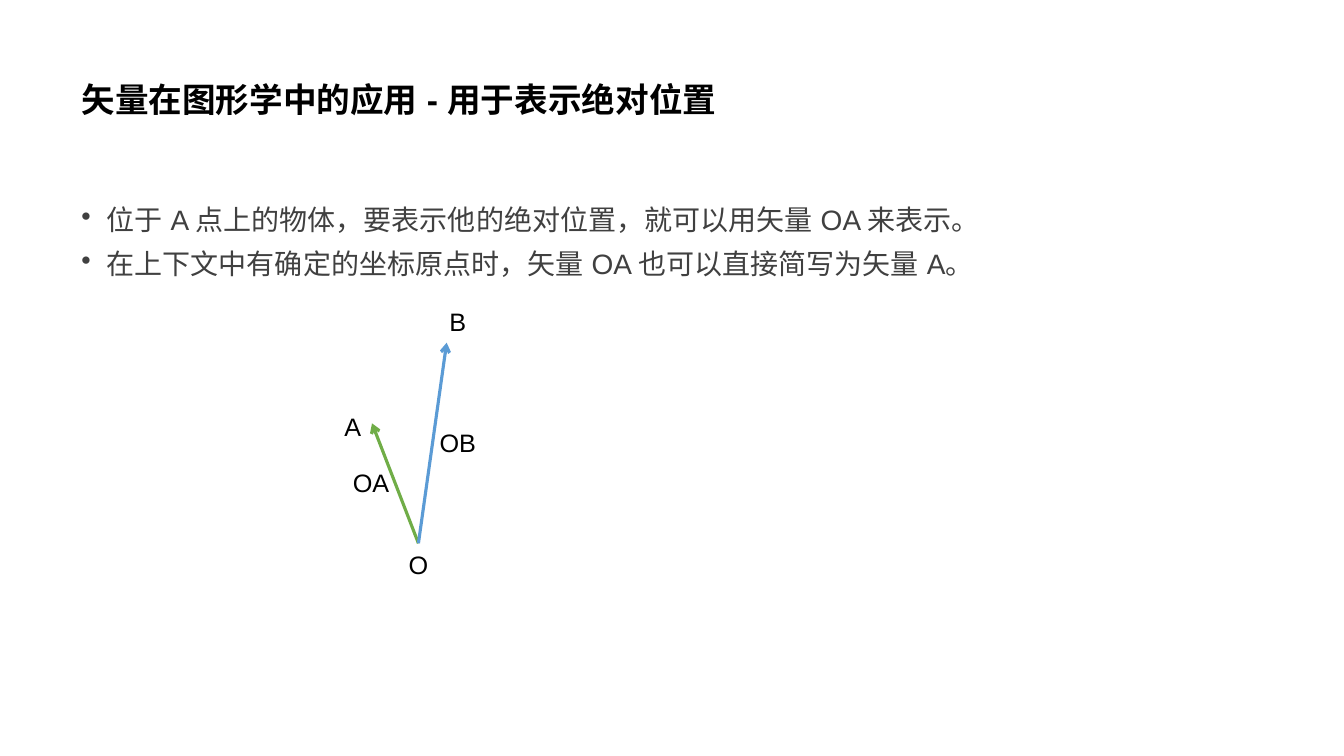
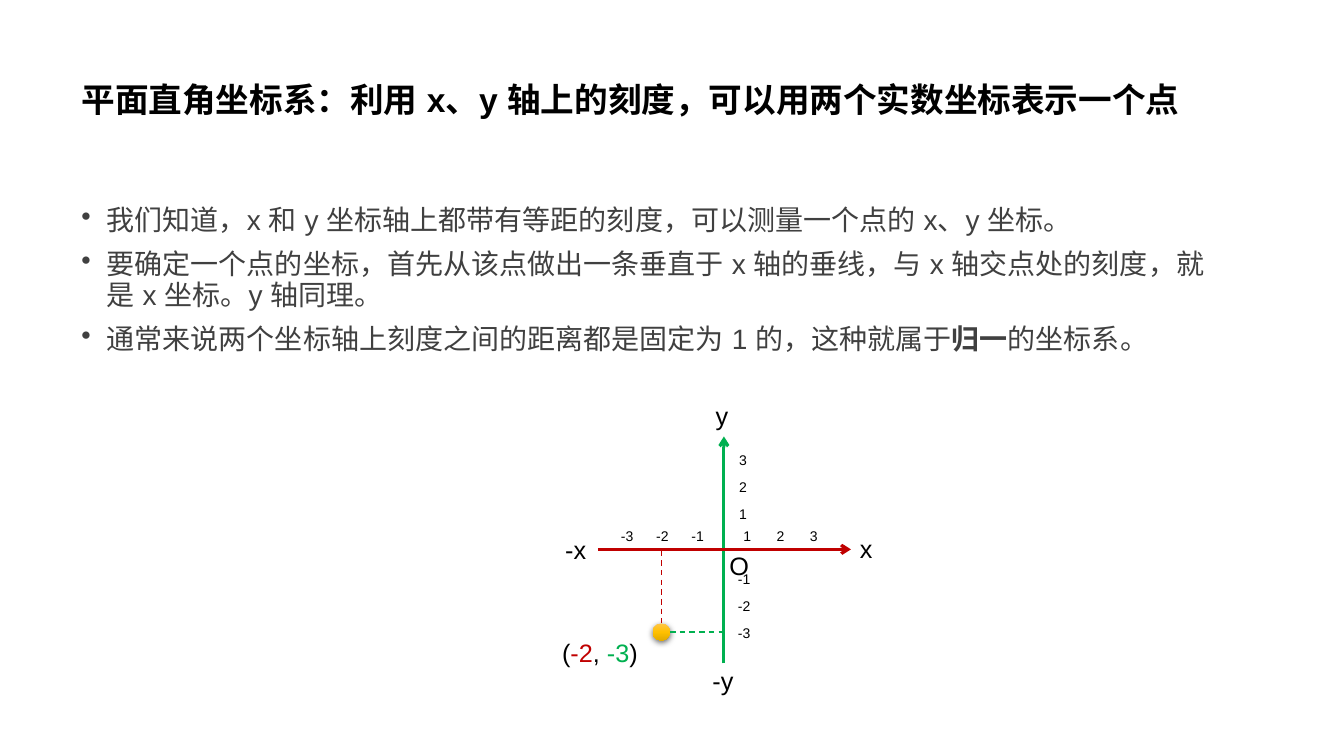
from copy import deepcopy

from lxml.etree import SubElement
from pptx import Presentation
from pptx.dml.color import RGBColor
from pptx.enum.dml import MSO_LINE_DASH_STYLE as Dash
from pptx.enum.lang import MSO_LANGUAGE_ID as Language
from pptx.enum.shapes import MSO_CONNECTOR_TYPE as Connector, MSO_SHAPE as Shape
from pptx.enum.text import MSO_ANCHOR as Anchor, PP_ALIGN as Align
from pptx.oxml.ns import qn
from pptx.util import Inches, Pt

FONT = "Arial"
BLACK, GRAY = "000000", "404040"
X_RED, Y_GREEN = "C00000", "00B050"
OA_GREEN, OB_BLUE = "70AD47", "5B9BD5"
MARGIN, CONTENT_WIDTH = 0.71, 11.5


def rgb(value):
    """Turn a hex string into a colour."""
    return RGBColor.from_string(value)


def add_bullet(paragraph):
    """Give a paragraph a round bullet with a hanging indent."""
    properties = paragraph._p.get_or_add_pPr()
    properties.set("marL", str(Inches(0.25)))
    properties.set("indent", str(Inches(-0.25)))
    SubElement(properties, qn("a:buChar"), char="•")


def add_text(slide, at, paragraphs, size=18, color=BLACK, bold=False, align=Align.LEFT,
             anchor=Anchor.TOP, wrap=True, bullets=False, line_spacing=None, gap=0):
    """Add a text box whose paragraphs are lists of (text, colour, bold) runs."""
    frame = slide.shapes.add_textbox(*map(Inches, at)).text_frame
    frame.word_wrap = wrap
    frame.vertical_anchor = anchor
    for index, runs in enumerate(paragraphs):
        paragraph = frame.add_paragraph() if index else frame.paragraphs[0]
        if bullets:
            add_bullet(paragraph)
        paragraph.alignment = align
        paragraph.line_spacing = line_spacing
        paragraph.space_before = Pt(gap if index else 0)
        for text, run_color, run_bold in runs:
            run = paragraph.add_run()
            run.text = text
            font = run.font
            font.size, font.name = Pt(size), FONT
            font.bold = bold or run_bold
            font.color.rgb = rgb(run_color or color)
            font.language_id = Language.SIMPLIFIED_CHINESE
            SubElement(run._r.rPr, qn("a:ea"), typeface=FONT)


def plain(text):
    """Make a paragraph of one run in the format of its box."""
    return [(text, None, False)]


def add_label(slide, runs, center, top, size=18):
    """Add a one-line label centred on a horizontal position."""
    width, height = (1.08, 0.4) if size == 18 else (0.34, 0.27)
    add_text(slide, (center - width / 2, top, width, height), [runs],
             size=size, align=Align.CENTER, wrap=False)


def add_labels(slide, labels):
    """Add several labels given as text, centre and top."""
    for text, center, top in labels:
        add_label(slide, plain(text), center, top)


def add_line(slide, start, end, color, width=2.25, arrow=False, dashed=False):
    """Draw a straight line, with an arrowhead or dashes on request."""
    line = slide.shapes.add_connector(Connector.STRAIGHT, *map(Inches, start + end))
    line.line.color.rgb = rgb(color)
    line.line.width = Pt(width)
    if dashed:
        line.line.dash_style = Dash.DASH
    properties = line._element.spPr
    if arrow:
        SubElement(line.line._get_or_add_ln(), qn("a:tailEnd"), type="arrow")
    SubElement(properties, qn("a:effectLst"))


def add_point(slide, center, diameter, colors):
    """Draw a round point with a vertical gradient and a soft shadow."""
    left, top = (value - diameter / 2 for value in center)
    point = slide.shapes.add_shape(Shape.OVAL, *map(Inches, (left, top, diameter, diameter)))
    point.line.fill.background()
    point.fill.gradient()
    point.fill.gradient_angle = 270
    properties = point._element.spPr
    stop_list = properties.find(".//" + qn("a:gsLst"))
    stop_list.insert(1, deepcopy(stop_list[0]))
    for stop, color, position in zip(point.fill.gradient_stops, colors, (0, 0.5, 1)):
        stop.color.rgb = rgb(color)
        stop.position = position
    point.shadow.inherit = False
    shadow = SubElement(properties.find(qn("a:effectLst")), qn("a:outerShdw"),
                        blurRad=str(Pt(4.5)), dist=str(Pt(1.5)), dir="5400000",
                        algn="ctr", rotWithShape="0")
    shadow_color = SubElement(shadow, qn("a:srgbClr"), val=BLACK)
    SubElement(shadow_color, qn("a:alpha"), val="63000")


def add_content_slide(deck, title, points):
    """Add a slide with the shared title and bullet list."""
    slide = deck.slides.add_slide(deck.slide_layouts[6])
    add_text(slide, (MARGIN, 0.28, CONTENT_WIDTH, 1.45), [plain(title)],
             size=24, bold=True, anchor=Anchor.MIDDLE, line_spacing=0.9)
    add_text(slide, (MARGIN, 2, CONTENT_WIDTH, 4.76), points,
             size=20, color=GRAY, bullets=True, line_spacing=0.9, gap=10)
    return slide


def draw_position_vectors(slide):
    """Draw the vectors OA and OB from their origin."""
    origin = (4.15, 5.39)
    add_line(slide, origin, (3.69, 4.2), OA_GREEN, arrow=True)
    add_line(slide, origin, (4.43, 3.4), OB_BLUE, arrow=True)
    add_labels(slide, [("A", 3.5, 4.03), ("B", 4.54, 2.99), ("O", 4.15, 5.4),
                       ("OA", 3.68, 4.59), ("OB", 4.54, 4.19)])


def draw_axes(slide):
    """Draw the two axes with their names and scale numbers."""
    add_line(slide, (7.18, 6.58), (7.18, 4.33), Y_GREEN, arrow=True)
    add_line(slide, (5.93, 5.45), (8.44, 5.45), X_RED, arrow=True)
    add_labels(slide, [("-x", 5.71, 5.25), ("x", 8.59, 5.24), ("y", 7.16, 3.92),
                       ("-y", 7.17, 6.55), ("O", 7.33, 5.41)])
    for tick in (1, 2, 3):
        for text, center, top in [(f"{tick}", 7.08 + 0.33 * tick, 5.18),
                                  (f"-{tick}", 7.27 - 0.35 * tick, 5.18),
                                  (f"{tick}", 7.37, 5.24 - 0.27 * tick),
                                  (f"-{tick}", 7.38, 5.34 + 0.27 * tick)]:
            add_label(slide, plain(text), center, top, size=10)


def draw_coordinate_point(slide):
    """Draw the point (-2, -3) with its perpendiculars to the axes."""
    x, y, diameter = 6.56, 6.27, 0.17
    coordinates = [("(", None, False), ("-2", X_RED, False), (", ", None, False),
                   ("-3", Y_GREEN, False), (")", None, False)]
    add_label(slide, coordinates, 5.95, 6.27)
    add_point(slide, (x, y), diameter, ("FFC64B", "FFC000", "E3AB00"))
    add_line(slide, (x, 5.46), (x, y - diameter / 2), X_RED, width=1, dashed=True)
    add_line(slide, (x + diameter / 2, y), (7.19, y), Y_GREEN, width=1, dashed=True)


def main():
    """Build and save the two slides."""
    deck = Presentation()
    deck.slide_width, deck.slide_height = Inches(13.33), Inches(7.5)

    vectors = add_content_slide(deck, "矢量在图形学中的应用 - 用于表示绝对位置", [
        plain("位于 A 点上的物体，要表示他的绝对位置，就可以用矢量 OA 来表示。"),
        plain("在上下文中有确定的坐标原点时，矢量 OA 也可以直接简写为矢量 A。"),
    ])
    draw_position_vectors(vectors)

    plane = add_content_slide(
        deck, "平面直角坐标系：利用 x、y 轴上的刻度，可以用两个实数坐标表示一个点", [
            plain("我们知道，x 和 y 坐标轴上都带有等距的刻度，可以测量一个点的 x、y 坐标。"),
            plain("要确定一个点的坐标，首先从该点做出一条垂直于 x 轴的垂线，"
                  "与 x 轴交点处的刻度，就是 x 坐标。y 轴同理。"),
            [("通常来说两个坐标轴上刻度之间的距离都是固定为 1 的，这种就属于", None, False),
             ("归一", None, True), ("的坐标系。", None, False)],
        ])
    draw_axes(plane)
    draw_coordinate_point(plane)

    deck.save("out.pptx")


if __name__ == "__main__":
    main()
